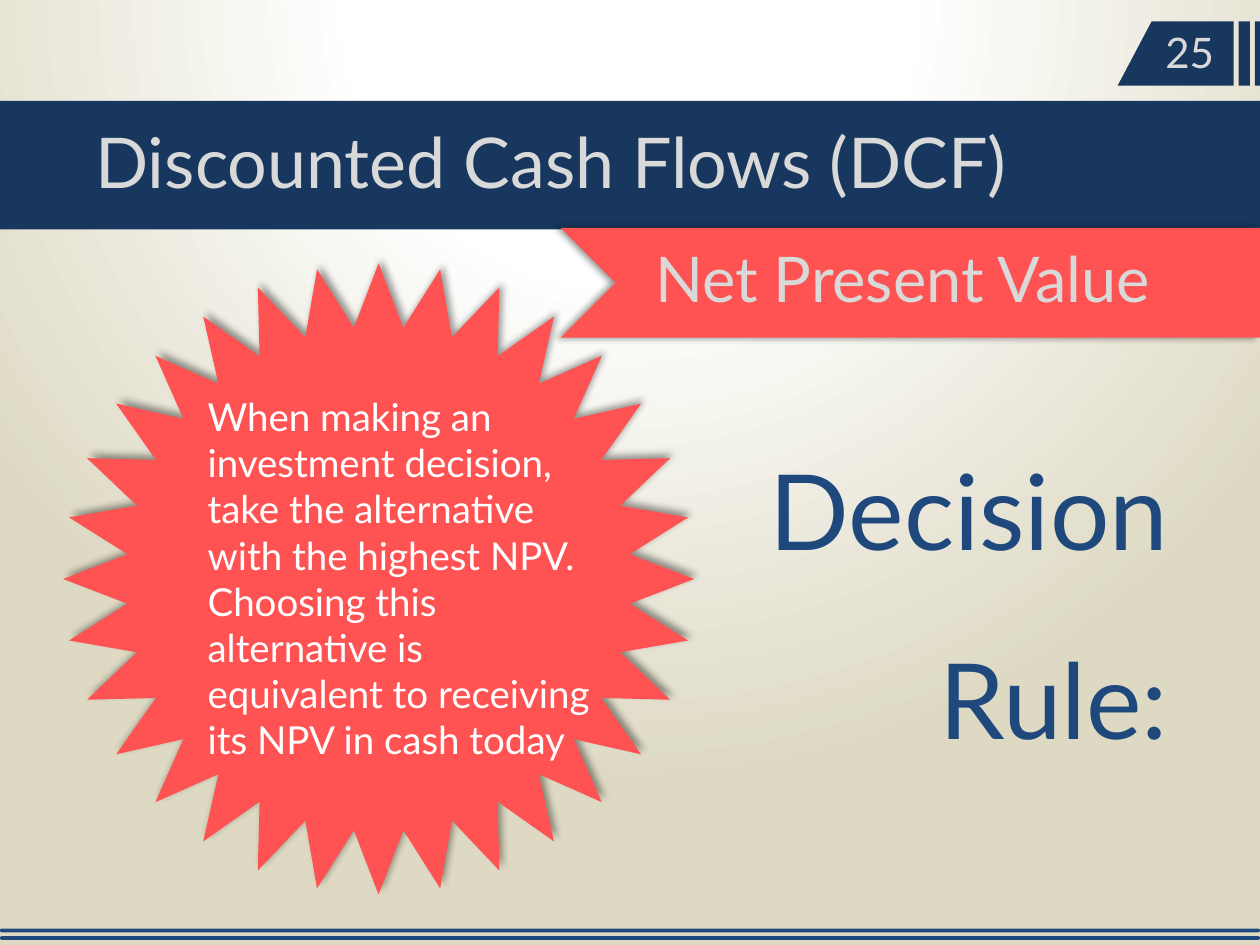
from lxml import etree
from pptx import Presentation
from pptx.dml.color import RGBColor
from pptx.enum.shapes import MSO_SHAPE
from pptx.enum.text import PP_ALIGN
from pptx.oxml import parse_xml
from pptx.oxml.ns import qn
from pptx.util import Inches, Pt

RECT = MSO_SHAPE.RECTANGLE
ROUNDED = MSO_SHAPE.ROUNDED_RECTANGLE
STAR = MSO_SHAPE.STAR_32_POINT
LEFT, RIGHT = PP_ALIGN.LEFT, PP_ALIGN.RIGHT

NAVY = RGBColor(0x17, 0x37, 0x5E)
BLUE = RGBColor(0x1F, 0x49, 0x7D)
RED = RGBColor(0xFF, 0x53, 0x53)
GRAY = RGBColor(0xD9, 0xD9, 0xD9)
WHITE = RGBColor(0xFF, 0xFF, 0xFF)
FONT = "Lato"
SLIDE_W, SLIDE_H = 10, 7.5

GRADIENT = """
<a:gradFill xmlns:a="http://schemas.openxmlformats.org/drawingml/2006/main" rotWithShape="1">
  <a:gsLst>
    <a:gs pos="0"><a:srgbClr val="FFFFFF"/></a:gs>
    <a:gs pos="35000"><a:srgbClr val="FFFFFF"/></a:gs>
    <a:gs pos="100000"><a:srgbClr val="DDD9C3"/></a:gs>
  </a:gsLst>
  <a:path path="circle">
    <a:fillToRect l="50000" t="-80000" r="50000" b="180000"/>
  </a:path>
</a:gradFill>"""


def paint_background(s):
    fill = s.background.fill
    fill.solid()
    solid = s.element.find(".//" + qn("a:solidFill"))
    solid.getparent().replace(solid, parse_xml(GRADIENT))


def style(shape, color):
    shape.fill.solid()
    shape.fill.fore_color.rgb = color
    shape.line.fill.background()
    shape.shadow.inherit = False
    return shape


def add_preset(s, kind, box, color):
    return style(s.shapes.add_shape(kind, *map(Inches, box)), color)


def add_polygon(s, points, color):
    start, *rest = [(Inches(x), Inches(y)) for x, y in points]
    builder = s.shapes.build_freeform(*start, scale=1.0)
    builder.add_line_segments(rest, close=True)
    return style(builder.convert_to_shape(), color)


def add_shadow(shape, degrees):
    effects = shape._element.spPr.find(qn("a:effectLst"))
    shadow = etree.SubElement(
        effects, qn("a:outerShdw"), blurRad=str(Pt(4)), dist=str(Pt(3)),
        dir=str(degrees * 60000), algn="ctr", rotWithShape="0")
    color = etree.SubElement(shadow, qn("a:srgbClr"), val="000000")
    etree.SubElement(color, qn("a:alpha"), val="40000")


def add_text(s, box, paragraphs, size, color, align=LEFT, spacing=None):
    tf = s.shapes.add_textbox(*map(Inches, box)).text_frame
    tf.word_wrap = True
    for i, text in enumerate(paragraphs):
        p = tf.add_paragraph() if i else tf.paragraphs[0]
        p.text = text
        p.alignment = align
        p.line_spacing = spacing
        p.font.name = FONT
        p.font.size = Pt(size)
        p.font.color.rgb = color


def add_title_band(s, x, y, w, h):
    add_preset(s, RECT, (x, y, w, h), NAVY)
    add_text(s, (x + 0.66, y + 0.09, 8.82, 0.77),
             ["Discounted Cash Flows (DCF)"], 40, GRAY)


def add_page_tab(s, x, y, w, h):
    for dx, bar_w in ((0.96, 0.09), (1.09, 0.04)):
        add_preset(s, RECT, (x + dx, y, bar_w, h), NAVY)
    add_polygon(s, [(x + 0.27, y), (x + 0.92, y),
                    (x + 0.92, y + h), (x, y + h)], NAVY)
    add_text(s, (x + 0.28, y - 0.01, w - 0.46, 0.5), ["25"], 24, GRAY)


def add_footer_lines(s, x, y, w, h):
    line_h = 0.03
    for line_y in (y, y + h - line_h):
        line = add_preset(s, ROUNDED, (x, line_y, w, line_h), BLUE)
        line.adjustments[0] = 0.5


def add_ribbon(s, x, y, w, h):
    ribbon = add_polygon(s, [(x, y), (x + w, y), (x + w, y + h), (x, y + h),
                             (x + h / 2, y + h / 2)], RED)
    add_shadow(ribbon, 180)
    add_text(s, (x + 0.65, y + 0.04, w - 0.83, 0.71),
             ["Net Present Value"], 36, GRAY)


def add_starburst(s, x, y, size):
    star = add_preset(s, STAR, (x, y, size, size), RED)
    star.adjustments[0] = 0.4
    add_shadow(star, 315)
    add_text(s, (x + 1.05, y + 0.98, 3.34, 3.06), [
        "When making an investment decision, take the alternative "
        "with the highest NPV.",
        "Choosing this alternative is equivalent to receiving "
        "its NPV in cash today",
    ], 22, WHITE)


def main():
    prs = Presentation()
    prs.slide_width, prs.slide_height = Inches(SLIDE_W), Inches(SLIDE_H)
    s = prs.slides.add_slide(prs.slide_layouts[6])
    paint_background(s)
    add_title_band(s, 0, 0.8, SLIDE_W, 1.02)
    add_footer_lines(s, 0, 7.37, SLIDE_W, 0.09)
    add_page_tab(s, 8.87, 0.17, 1.13, 0.51)
    add_text(s, (5.56, 2.99, 3.81, 2.93), ["Decision Rule:"], 60, BLUE,
             RIGHT, 1.5)
    add_ribbon(s, 4.45, 1.81, 5.55, 0.87)
    add_starburst(s, 0.5, 2.09, 5.01)
    prs.save("out.pptx")


if __name__ == "__main__":
    main()
